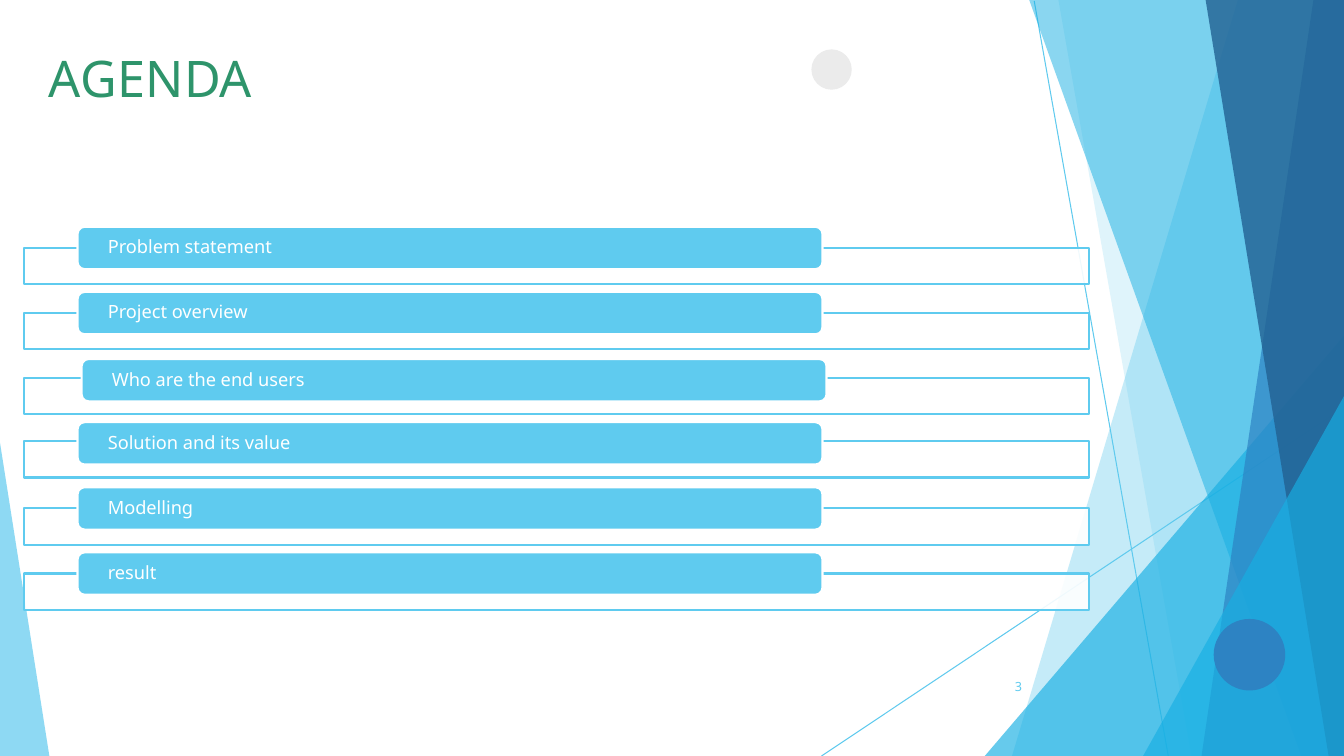
from dataclasses import dataclass

from lxml.etree import SubElement
from pptx import Presentation
from pptx.dml.color import RGBColor
from pptx.enum.shapes import MSO_CONNECTOR as Connector, MSO_SHAPE as Preset
from pptx.enum.text import MSO_ANCHOR as Anchor, PP_ALIGN as Align
from pptx.oxml.ns import qn
from pptx.util import Emu, Inches, Pt


@dataclass(frozen=True)
class Theme:
    """Colours, type sizes and line widths of the deck."""
    font: str = "Noto Sans"
    white: str = "FFFFFF"
    grey: str = "EBEBEB"
    green: str = "2E946B"
    sky: str = "5FCAEE"
    accent: str = "5FCBEF"
    cyan: str = "17AFE3"
    blue: str = "2D83C3"
    navy: str = "226192"
    title_size: float = 36
    label_size: float = 13
    number_size: float = 9
    hairline: float = 0.75
    outline: float = 1.5


class SlideBuilder:
    """Draws elements on one slide, measured on a 133.33 by 75 grid."""
    COLUMNS, ROWS = 133.33, 75

    def __init__(self, deck, theme):
        """Add a blank slide to the deck."""
        self.theme = theme
        self.column = deck.slide_width / self.COLUMNS
        self.row = deck.slide_height / self.ROWS
        self.shapes = deck.slides.add_slide(deck.slide_layouts[6]).shapes

    def across(self, columns):
        """Turn columns into a length."""
        return Emu(round(columns * self.column))

    def down(self, rows):
        """Turn rows into a length."""
        return Emu(round(rows * self.row))

    def area(self, left, top, width, height):
        """Turn a grid area into lengths."""
        return self.across(left), self.down(top), self.across(width), self.down(height)

    def paint(self, shape, fill, opacity=100, line=None):
        """Set fill, opacity and outline without a shadow."""
        shape.shadow.inherit = False
        shape.fill.solid()
        shape.fill.fore_color.rgb = RGBColor.from_string(fill)
        if opacity < 100:
            color = shape._element.spPr.find(qn("a:solidFill"))[0]
            SubElement(color, qn("a:alpha")).set("val", str(opacity * 1000))
        if line:
            shape.line.color.rgb = RGBColor.from_string(line)
            shape.line.width = Pt(self.theme.outline)
        else:
            shape.line.fill.background()

    def facet(self, points, fill, opacity):
        """Draw a translucent closed polygon."""
        start, *others = [(self.across(x), self.down(y)) for x, y in points]
        builder = self.shapes.build_freeform(*start, scale=1.0)
        builder.add_line_segments(others, close=True)
        self.paint(builder.convert_to_shape(), fill, opacity)

    def ray(self, start, end):
        """Draw a thin straight line."""
        line = self.shapes.add_connector(
            Connector.STRAIGHT, self.across(start[0]), self.down(start[1]),
            self.across(end[0]), self.down(end[1]))
        line.line.color.rgb = RGBColor.from_string(self.theme.sky)
        line.line.width = Pt(self.theme.hairline)
        SubElement(line._element.spPr, qn("a:effectLst"))

    def block(self, preset, area, fill, opacity=100, line=None):
        """Draw a preset shape."""
        shape = self.shapes.add_shape(preset, *self.area(*area))
        self.paint(shape, fill, opacity, line)
        return shape

    def add_spans(self, shape, spans, size, color, align=Align.LEFT, anchor=Anchor.MIDDLE,
                  inset=0, top_inset=0, before=0, spacing=1.0):
        """Set one paragraph from pairs of text and letter spacing."""
        frame = shape.text_frame
        frame.word_wrap = True
        frame.vertical_anchor = anchor
        frame.margin_left = frame.margin_right = self.across(inset)
        frame.margin_top, frame.margin_bottom = self.down(top_inset), 0
        para = frame.paragraphs[0]
        para.alignment = align
        para.space_before = Pt(before)
        para.line_spacing = spacing
        for text, tracking in spans:
            span = para.add_run()
            span.text = text
            span.font.name = self.theme.font
            span.font.size = Pt(size)
            span.font.color.rgb = RGBColor.from_string(color)
            if tracking:
                span._r.get_or_add_rPr().set("spc", str(round(tracking * 100)))

    def label(self, area, spans, size, color, **layout):
        """Add a text box."""
        box = self.shapes.add_textbox(*self.area(*area))
        self.add_spans(box, spans, size, color, top_inset=0.1, **layout)

    def agenda_item(self, topic, frame_top, bar_left, bar_top):
        """Draw an agenda frame with its labelled bar."""
        theme = self.theme
        self.block(Preset.RECTANGLE, (2.4, frame_top, 105.6, 3.6),
                   theme.white, 90, theme.accent)
        bar = self.block(Preset.ROUNDED_RECTANGLE, (bar_left, bar_top, 73.9, 4.2),
                         theme.accent, line=theme.white)
        self.add_spans(bar, [(topic, 0)], theme.label_size, theme.white,
                       inset=2.8, spacing=0.9)


def draw_backdrop(page):
    """Draw the rays, facets and dots behind the agenda."""
    theme, right, bottom = page.theme, page.COLUMNS, page.ROWS
    page.ray((102.6, 0.1), (115.9, bottom))
    page.ray((right, 40.4), (81.5, bottom))
    facets = [
        (122.8, 100.4, 0, theme.sky, 36),
        (105, 118.2, 0, theme.sky, 20),
        (right, 97.7, 33.3, theme.cyan, 66),
        (102.1, 129.1, 0, theme.cyan, 50),
        (130.3, 119.2, 0, theme.blue, 70),
        (119.6, 131.8, 0, theme.navy, 80),
        (right, 113.4, 39.3, theme.cyan, 66),
    ]
    for upper, lower, top, fill, opacity in facets:
        corners = [(right, top), (upper, top), (lower, bottom), (right, bottom)]
        page.facet(dict.fromkeys(corners), fill, opacity)
    page.facet([(0, 43.9), (0, bottom), (4.9, bottom)], theme.sky, 70)
    page.block(Preset.OVAL, (80.5, 4.9, 4, 4), theme.grey)
    page.block(Preset.OVAL, (120.4, 61.4, 7.1, 7.1), theme.blue)


def draw_agenda(page):
    """Add the title, the page number and the agenda items."""
    theme = page.theme
    title = [("A", 0.2), ("G", -0.1), ("E", -0.3), ("N", 0.1), ("DA", 0)]
    page.label((4.8, 4.6, 109.6, 6.2), title, theme.title_size, theme.green,
               anchor=Anchor.TOP, before=1.1)
    page.label((93.9, 66.1, 7.5, 4), [("3", 0.1)], theme.number_size, theme.accent,
               align=Align.RIGHT, before=0.6)
    pitch = 6.46
    items = [
        ("Problem statement", 0, 0, 0),
        ("Project overview", 0, 0, 0),
        ("Who are the end users", 0, 0.4, 0.2),
        ("Solution and its value", -0.2, 0, 0),
        ("Modelling", 0, 0, 0),
        ("result", 0, 0, 0),
    ]
    for index, (topic, frame_shift, bar_indent, bar_shift) in enumerate(items):
        offset = index * pitch
        page.agenda_item(topic, 24.6 + offset + frame_shift,
                         7.7 + bar_indent, 22.5 + offset + bar_shift)


def main():
    """Build and save the agenda slide."""
    deck = Presentation()
    deck.slide_width, deck.slide_height = Inches(13.33), Inches(7.5)
    page = SlideBuilder(deck, Theme())
    draw_backdrop(page)
    draw_agenda(page)
    deck.save("out.pptx")


if __name__ == "__main__":
    main()
